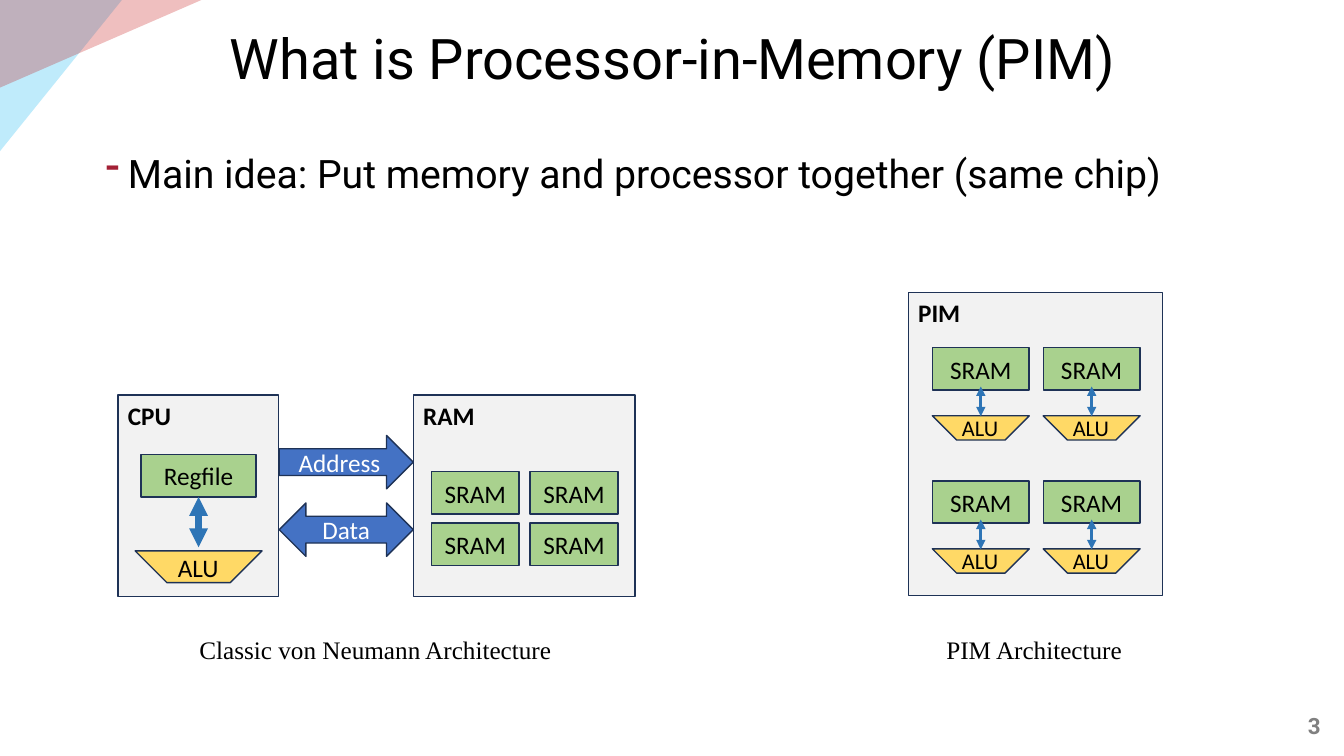
"""Build a slide that compares a von Neumann machine with processor-in-memory."""
from dataclasses import dataclass
from itertools import product

from lxml.etree import SubElement
from pptx import Presentation
from pptx.dml.color import RGBColor
from pptx.enum.shapes import MSO_CONNECTOR, MSO_SHAPE
from pptx.enum.text import MSO_ANCHOR, MSO_AUTO_SIZE, PP_ALIGN
from pptx.oxml.ns import qn
from pptx.shapes.autoshape import Shape
from pptx.shapes.shapetree import GroupShapes
from pptx.text.text import TextFrame
from pptx.util import Inches, Pt

CELL = Inches(0.1)
COLS, ROWS = 133.33, 75
BLACK = RGBColor(0x00, 0x00, 0x00)
WHITE = RGBColor(0xFF, 0xFF, 0xFF)
GRAY = RGBColor(0x80, 0x80, 0x80)
PALE = RGBColor(0xF2, 0xF2, 0xF2)
NAVY = RGBColor(0x1E, 0x32, 0x56)
GREEN = RGBColor(0xA9, 0xD1, 0x8E)
GOLD = RGBColor(0xFF, 0xD9, 0x66)
BLUE = RGBColor(0x44, 0x72, 0xC4)
STEEL = RGBColor(0x2E, 0x75, 0xB6)
SKY = RGBColor(0x00, 0xB0, 0xF0)
RED = RGBColor(0xC0, 0x00, 0x00)
WINE = RGBColor(0xA3, 0x20, 0x35)


@dataclass(frozen=True)
class Box:
    """A place on the grid, in cells."""
    left: float
    top: float
    wide: float
    high: float

    def scale(self) -> tuple[int, ...]:
        """Return the place in slide units."""
        return tuple(cell(n) for n in (self.left, self.top, self.wide, self.high))


@dataclass(frozen=True)
class Type:
    """The look of a text."""
    size: float = 18
    face: str = "Calibri"
    tint: RGBColor = BLACK
    bold: bool = False
    align: PP_ALIGN = PP_ALIGN.LEFT
    anchor: MSO_ANCHOR = MSO_ANCHOR.TOP


@dataclass(frozen=True)
class Pair:
    """The sizes of a store joined to an ALU below it."""
    store: str
    wide: float
    side: float
    drop: float
    link: tuple[float, float]
    tag: Box
    size: float
    weight: float


HEAD = Type(bold=True)
MID = Type(align=PP_ALIGN.CENTER, anchor=MSO_ANCHOR.MIDDLE)
LIGHT = Type(tint=WHITE, align=PP_ALIGN.CENTER, anchor=MSO_ANCHOR.MIDDLE)
TIMES = Type(face="Times New Roman")
TITLE = Type(40, "Roboto", align=PP_ALIGN.CENTER, anchor=MSO_ANCHOR.MIDDLE)
IDEA = Type(28, "Roboto")
PAGE = Type(16, "Roboto", GRAY, True, PP_ALIGN.RIGHT, MSO_ANCHOR.MIDDLE)

CORE = Pair("Regfile", 11.4, 8.9, 5.1, (4.2, 9.2), Box(-3.05, 9.2, 6.1, 4), 18, 4.5)
BANK = Pair("SRAM", 9.6, 6.8, 3.35, (3.85, 6.8), Box(-2.85, 6.05, 5.7, 3.7), 16, 2.25)


def cell(count: float) -> int:
    """Turn cells into slide units."""
    return round(count * CELL)


def write(frame: TextFrame, text: str, kind: Type) -> None:
    """Set a text and its look."""
    frame.text = text
    frame.vertical_anchor = kind.anchor
    line = frame.paragraphs[0]
    line.alignment = kind.align
    for run in line.runs:
        run.font.size = Pt(kind.size)
        run.font.name = kind.face
        run.font.bold = kind.bold
        run.font.color.rgb = kind.tint


def block(tree: GroupShapes, form: MSO_SHAPE, box: Box, fill: RGBColor,
          text: str = "", kind: Type = MID) -> Shape:
    """Draw an outlined shape with its text."""
    shape = tree.add_shape(form, *box.scale())
    shape.shadow.inherit = False
    shape.fill.solid()
    shape.fill.fore_color.rgb = fill
    shape.line.color.rgb = NAVY
    shape.line.width = Pt(1)
    if text:
        write(shape.text_frame, text, kind)
    return shape


def label(tree: GroupShapes, box: Box, text: str, kind: Type, wrap: bool = False) -> TextFrame:
    """Draw a plain text."""
    frame = tree.add_textbox(*box.scale()).text_frame
    frame.word_wrap = wrap
    frame.auto_size = MSO_AUTO_SIZE.NONE if wrap else MSO_AUTO_SIZE.SHAPE_TO_FIT_TEXT
    write(frame, text, kind)
    return frame


def corner(tree: GroupShapes, box: Box, fill: RGBColor) -> None:
    """Draw a clear triangle in the top left corner."""
    shape = block(tree, MSO_SHAPE.RIGHT_TRIANGLE, box, fill)
    shape.line.fill.background()
    props = shape.element.spPr
    props.find(qn("a:xfrm")).set("flipV", "1")
    tint = props.find(qn("a:solidFill")).find(qn("a:srgbClr"))
    SubElement(tint, qn("a:alpha"), val="25000")


def arrow(tree: GroupShapes, mid: float, top: float, base: float, weight: float) -> None:
    """Draw an upright line with two heads."""
    line = tree.add_connector(MSO_CONNECTOR.STRAIGHT, cell(mid), cell(top), cell(mid), cell(base))
    line.line.color.rgb = STEEL
    line.line.width = Pt(weight)
    props = line.element.spPr
    for end in ("a:headEnd", "a:tailEnd"):
        SubElement(props.find(qn("a:ln")), qn(end), type="triangle")
    SubElement(props, qn("a:effectLst"))


def couple(tree: GroupShapes, mid: float, top: float, pair: Pair) -> None:
    """Draw a store, its ALU and the link between them."""
    block(tree, MSO_SHAPE.RECTANGLE, Box(mid - pair.wide / 2, top, pair.wide, 4.2), GREEN, pair.store)
    stripe = Box(mid - pair.side / 2, top + pair.drop, pair.side, pair.side)
    block(tree, MSO_SHAPE.DIAGONAL_STRIPE, stripe, GOLD).rotation = 225
    tag = Box(mid + pair.tag.left, top + pair.tag.top, pair.tag.wide, pair.tag.high)
    label(tree, tag, "ALU", Type(pair.size))
    start, end = pair.link
    arrow(tree, mid, top + start, top + end, pair.weight)


def classic(tree: GroupShapes) -> None:
    """Draw the CPU, the RAM and the buses."""
    block(tree, MSO_SHAPE.RECTANGLE, Box(11.7, 39.2, 15.9, 20), PALE, "CPU", HEAD)
    couple(tree, 19.7, 45.1, CORE)
    block(tree, MSO_SHAPE.RECTANGLE, Box(41, 39.2, 22, 20), PALE, "RAM", HEAD)
    for row, col in product(range(2), repeat=2):
        box = Box(42.8 + 9.8 * col, 46.8 + 5.1 * row, 8.7, 4.2)
        block(tree, MSO_SHAPE.RECTANGLE, box, GREEN, "SRAM")
    block(tree, MSO_SHAPE.RIGHT_ARROW, Box(27.7, 43.2, 13.3, 5.3), BLUE, "Address", LIGHT)
    block(tree, MSO_SHAPE.LEFT_RIGHT_ARROW, Box(27.7, 49.9, 13.3, 5.3), BLUE, "Data", LIGHT)
    label(tree, Box(18.8, 62.4, 37.1, 4), "Classic von Neumann Architecture", TIMES)


def merged(tree: GroupShapes) -> None:
    """Draw the PIM chip."""
    block(tree, MSO_SHAPE.RECTANGLE, Box(90.1, 29, 25.2, 30.1), PALE, "PIM", HEAD)
    for row, col in product(range(2), repeat=2):
        couple(tree, 97.3 + 11 * col, 34.5 + 13.2 * row, BANK)
    label(tree, Box(92.9, 62.4, 19.6, 4), "PIM Architecture", TIMES)


def main() -> None:
    """Build and save the slide."""
    deck = Presentation()
    deck.slide_width, deck.slide_height = cell(COLS), cell(ROWS)
    slide = deck.slides.add_slide(deck.slide_layouts[5])
    tree = slide.shapes

    title = tree.title
    title.left, title.top, title.width, title.height = Box(9.2, 2, 115, 8.2).scale()
    title.text_frame.auto_size = MSO_AUTO_SIZE.NONE
    write(title.text_frame, "What is Processor-in-Memory (PIM)", TITLE)
    title.text_frame.paragraphs[0].line_spacing = 0.9

    wedge = tree.add_group_shape().shapes
    corner(wedge, Box(0, 0, 12.1, 15), SKY)
    corner(wedge, Box(0, 0, 20, 8.7), RED)

    idea = label(tree, Box(9.2, 14.8, 115, 6.5),
                 "Main idea: Put memory and processor together (same chip)", IDEA, True).paragraphs[0]
    idea.line_spacing, idea.space_before = 0.9, Pt(10)
    props = idea._p.get_or_add_pPr()
    props.set("marL", str(cell(2.5)))
    props.set("indent", str(cell(-2.5)))
    SubElement(SubElement(props, qn("a:buClr")), qn("a:srgbClr"), val=str(WINE))
    SubElement(props, qn("a:buChar"), char="⁃")

    label(tree, Box(122.1, 70, 9.9, 4), "3", PAGE, True)
    classic(tree.add_group_shape().shapes)
    merged(tree.add_group_shape().shapes)
    deck.save("out.pptx")


if __name__ == "__main__":
    main()
